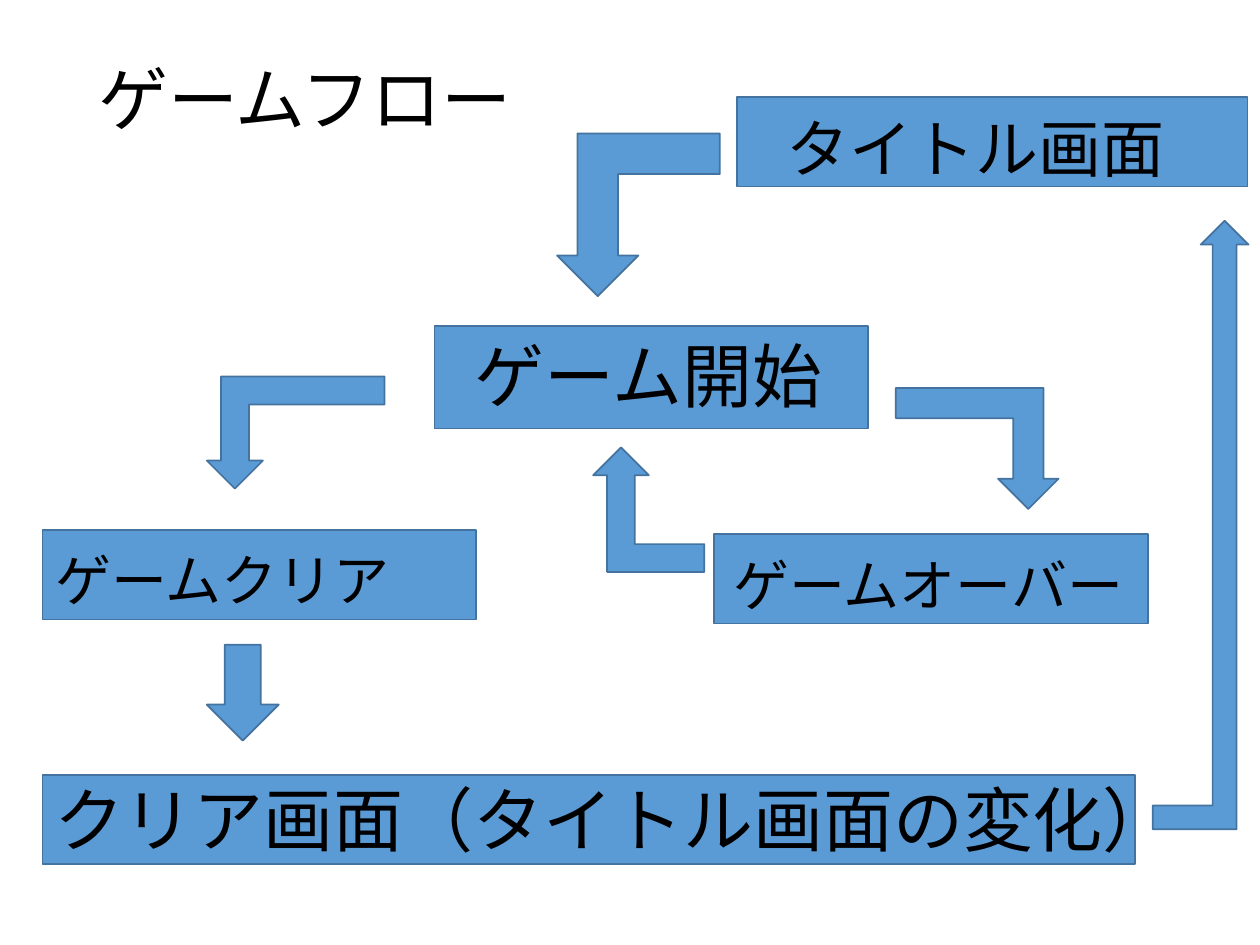
from pptx import Presentation
from pptx.dml.color import RGBColor
from pptx.enum.shapes import MSO_SHAPE
from pptx.enum.text import MSO_AUTO_SIZE
from pptx.util import Cm, Pt

RECT = MSO_SHAPE.RECTANGLE
BENT = MSO_SHAPE.BENT_UP_ARROW
DOWN = MSO_SHAPE.DOWN_ARROW
GROW = MSO_AUTO_SIZE.SHAPE_TO_FIT_TEXT


def color(code):
    return RGBColor.from_string(code)


class Flow:
    fill, edge, ink = "5B9BD5", "43739E", "000000"
    font = "Calibri"

    def __init__(self, slide):
        self.slide = slide

    def shape(self, kind, spot, turn=0, flip=False):
        item = self.slide.shapes.add_shape(kind, *map(Cm, spot))
        item.shadow.inherit = False
        item.fill.solid()
        item.fill.fore_color.rgb = color(self.fill)
        item.line.color.rgb = color(self.edge)
        item.line.width = Pt(1)
        item.rotation = turn
        if flip:
            item.element.spPr.get_or_add_xfrm().set("flipH", "1")

    def box(self, *spot):
        self.shape(RECT, spot)

    def label(self, text, size, *spot):
        frame = self.slide.shapes.add_textbox(*map(Cm, spot)).text_frame
        frame.word_wrap = False
        frame.auto_size = GROW
        run = frame.paragraphs[0].add_run()
        run.text = text
        for key, value in {"name": self.font, "size": Pt(size)}.items():
            setattr(run.font, key, value)
        run.font.color.rgb = color(self.ink)


def main():
    deck = Presentation()
    deck.slide_width, deck.slide_height = Cm(25.4), Cm(19.05)
    flow = Flow(deck.slides.add_slide(deck.slide_layouts[6]))

    # Boxes, from the bottom up
    wide, high = 8.74, 1.8
    flow.box(0.86, 15.62, 22.02, high)
    flow.box(14.4, 10.77, wide, high)
    flow.box(0.86, 10.69, wide, high)
    flow.box(8.76, 6.58, wide, 2.06)
    flow.box(14.86, 1.96, 10.29, high)

    # Heading and box labels
    flow.label("ゲームフロー", 40, 1.73, 0.99, 9.07, 1.96)
    flow.label("タイトル画面", 36, 15.6, 2.08, 8.2, 1.8)
    flow.label("ゲーム開始", 40, 9.32, 6.58, 7.65, 1.96)
    flow.label("ゲームクリア", 32, 0.86, 10.87, 7.34, 1.63)
    flow.label("ゲームオーバー", 32, 14.53, 10.97, 8.48, 1.63)
    flow.label("クリア画面（タイトル画面の変化）", 40, 0.84, 15.52, 23.32, 1.96)

    # Arrows: start to clear, start to over, over to start
    flow.shape(BENT, (4.17, 7.59, 3.58, 2.26), turn=180)
    flow.shape(BENT, (18.06, 7.82, 3.28, 2.44), turn=180, flip=True)
    flow.shape(BENT, (11.96, 9.02, 2.24, 2.51), flip=True)

    # Arrows: clear to its screen, back to title, title to start
    flow.shape(DOWN, (4.17, 13, 1.45, 1.93))
    flow.shape(BENT, (23.24, 4.45, 1.93, 12.27))
    flow.shape(BENT, (11.23, 2.69, 3.28, 3.28), turn=180)

    deck.save("out.pptx")


if __name__ == "__main__":
    main()
